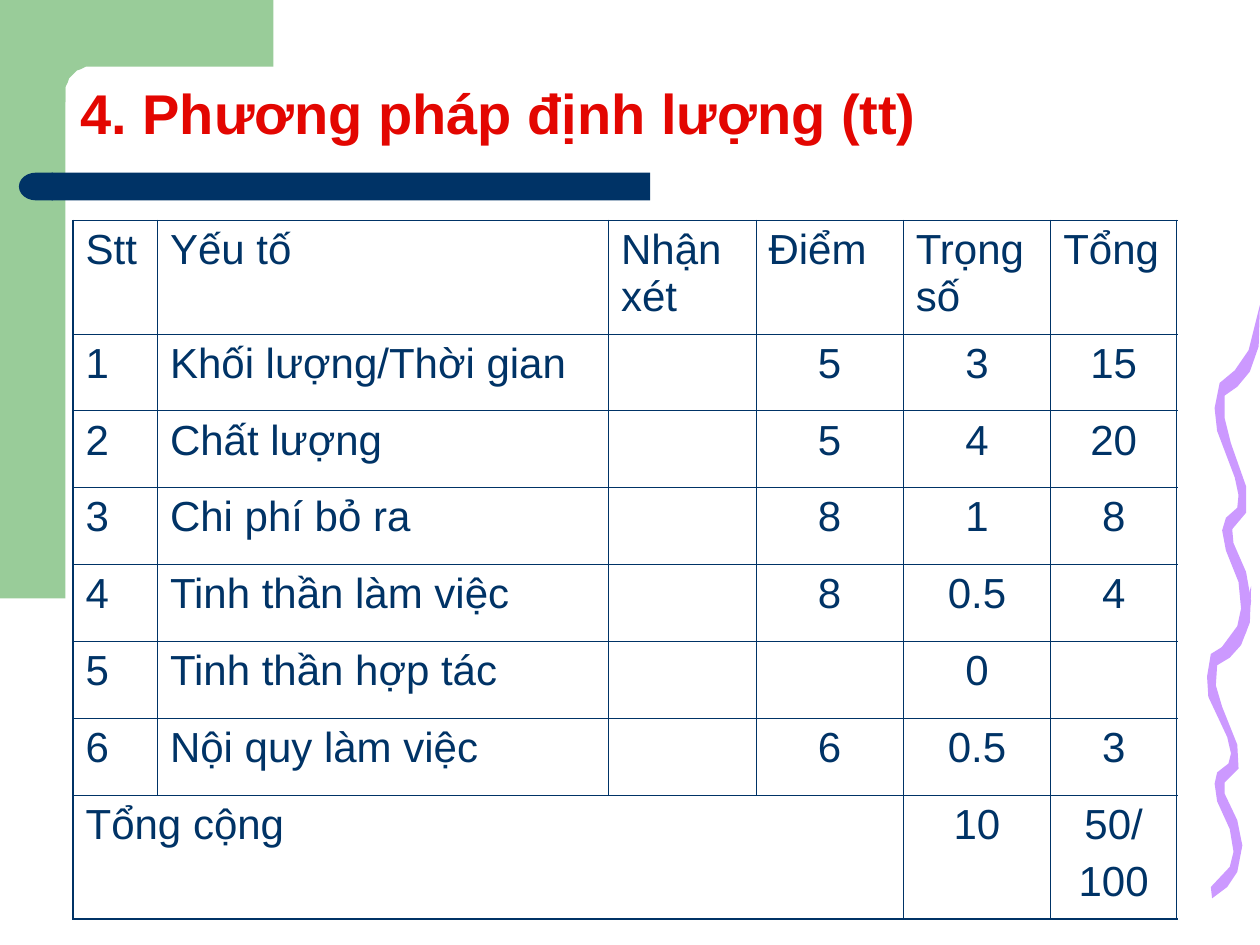
import math
import pptx
import pptx.util
import pptx.oxml
import pptx.oxml.ns
import pptx.dml.color
import pptx.enum.shapes
import pptx.enum.text
from pptx.util import Inches

HUES = {"green": "99CC99", "navy": "003366", "lilac": "CC99FF", "red": "E30601"}
FORM = pptx.enum.shapes.MSO_SHAPE
ALIGN = pptx.enum.text.PP_ALIGN

HIGH = [
    (4, 274), (18, 255), (21, 241), (19, 220), (9, 195), (6, 179), (9, 169),
    (18, 161), (19, 151), (16, 137), (2, 100), (0, 82), (4, 62), (16, 52),
    (27, 36), (36, 0), (35, 33), (28, 53), (18, 65), (8, 72), (8, 90),
    (13, 110), (25, 144), (25, 165), (14, 178), (15, 189), (25, 212),
    (29, 235), (25, 260), (16, 273), (5, 283),
]
LOW = [
    (3, 239), (18, 223), (21, 211), (18, 193), (8, 171), (6, 157), (8, 148),
    (17, 141), (19, 133), (16, 120), (1, 88), (0, 72), (3, 54), (16, 46),
    (26, 32), (35, 0), (34, 29), (27, 47), (18, 57), (8, 63), (7, 79),
    (12, 96), (24, 126), (25, 145), (14, 156), (14, 165), (24, 186),
    (28, 206), (24, 227), (16, 239), (4, 248),
]

COLS = [0.67, 3.58, 1.17, 1.17, 1.17, 1]
TALL = [0.9] + [0.61] * 6 + [0.98]
ROWS = [
    ["Stt", "Yếu tố", "Nhận xét", "Điểm", "Trọng số", "Tổng"],
    ["1", "Khối lượng/Thời gian", "", "5", "3", "15"],
    ["2", "Chất lượng", "", "5", "4", "20"],
    ["3", "Chi phí bỏ ra", "", "8", "1", "8"],
    ["4", "Tinh thần làm việc", "", "8", "0.5", "4"],
    ["5", "Tinh thần hợp tác", "", "", "0", ""],
    ["6", "Nội quy làm việc", "", "6", "0.5", "3"],
    ["Tổng cộng", "", "", "", "10", "50/\n100"],
]


def tint(name):
    return pptx.dml.color.RGBColor.from_string(HUES[name])


def paint(shape, hue):
    shape.shadow.inherit = False
    shape.fill.solid()
    shape.fill.fore_color.rgb = tint(hue)
    shape.line.fill.background()


def add_form(slide, kind, box, hue):
    shape = slide.shapes.add_shape(kind, *map(Inches, box))
    paint(shape, hue)
    return shape


def add_path(slide, left, top, points, hue):
    pen = slide.shapes.build_freeform(*points[0], scale=Inches(0.01))
    pen.add_line_segments(points[1:], close=True)
    paint(pen.convert_to_shape(Inches(left), Inches(top)), hue)


def add_frame(slide, left, top):
    add_form(slide, FORM.RECTANGLE, (left, top, 0.52, 4.75), "green")
    turns = [math.radians(90 * i / 8) for i in range(9)]
    curve = [(round(41 - 20 * math.sin(a)), round(73 - 20 * math.cos(a))) for a in turns]
    points = [(186, 0), (186, 53)] + curve + [(21, 81), (0, 81), (0, 0)]
    add_path(slide, left + 0.31, top, points, "green")


def add_bar(slide, left, top, width, height):
    cap = 0.27
    add_form(slide, FORM.RECTANGLE, (left + cap - 0.01, top, width - cap + 0.01, height), "navy")
    end = add_form(slide, FORM.FLOWCHART_DELAY, (left, top, cap, height), "navy")
    end.rotation = 180


def add_waves(slide, left, top):
    add_path(slide, left, top + 2.23, LOW, "lilac")
    add_path(slide, left + 0.06, top, HIGH, "lilac")


def style(para, size, hue, bold=False):
    for run in para.runs:
        run.font.name = "Arial"
        run.font.size = pptx.util.Pt(size)
        run.font.bold = bold
        run.font.color.rgb = tint(hue)


def add_title(slide, *box):
    frame = slide.shapes.add_textbox(*map(Inches, box)).text_frame
    frame.word_wrap = True
    frame.vertical_anchor = pptx.enum.text.MSO_ANCHOR.BOTTOM
    frame.text = "4. Phương pháp định lượng (tt)"
    frame.paragraphs[0].line_spacing = 0.9
    style(frame.paragraphs[0], 32, "red", True)


def add_edges(cell, outer):
    props = cell._tc.get_or_add_tcPr()
    space = pptx.oxml.ns.nsdecls("a")
    for side in "LRTB":
        width = pptx.util.Pt(1.08 if side in outer else 0.45)
        props.append(pptx.oxml.parse_xml(
            f'<a:ln{side} {space} w="{width}"><a:solidFill>'
            f'<a:srgbClr val="{HUES["navy"]}"/></a:solidFill></a:ln{side}>'))
    cell.fill.background()


def fill_cell(cell, text, middle):
    cell.text_frame.text = text
    for i, para in enumerate(cell.text_frame.paragraphs):
        para.alignment = ALIGN.CENTER if middle else ALIGN.LEFT
        if i:
            para.space_before = pptx.util.Pt(6)
        style(para, 24, "navy")


def add_scores(slide, *box):
    table = slide.shapes.add_table(len(ROWS), len(COLS), *map(Inches, box)).table
    table.first_row = table.horz_banding = False
    for col, width in zip(table.columns, COLS):
        col.width = Inches(width)
    for row, height in zip(table.rows, TALL):
        row.height = Inches(height)
    last, right = len(ROWS) - 1, len(COLS) - 1
    table.cell(last, 0).merge(table.cell(last, 3))
    for r, row in enumerate(ROWS):
        for c, text in enumerate(row):
            cell = table.cell(r, c)
            ends = {"L": c == 0, "R": c == right, "T": r == 0, "B": r == last}
            add_edges(cell, [side for side in ends if ends[side]])
            if text:
                fill_cell(cell, text, r > 0 and c > 2)


def main():
    deck = pptx.Presentation()
    deck.slide_width, deck.slide_height = Inches(10), Inches(7.5)
    slide = deck.slides.add_slide(deck.slide_layouts[6])
    add_frame(slide, 0, 0)
    add_bar(slide, 0.15, 1.37, 5.01, 0.22)
    add_waves(slide, 9.58, 2.42)
    add_title(slide, 0.54, 0.63, 8.58, 0.58)
    add_scores(slide, 0.58, 1.75, 8.75, 5.56)
    deck.save("out.pptx")


if __name__ == "__main__":
    main()
